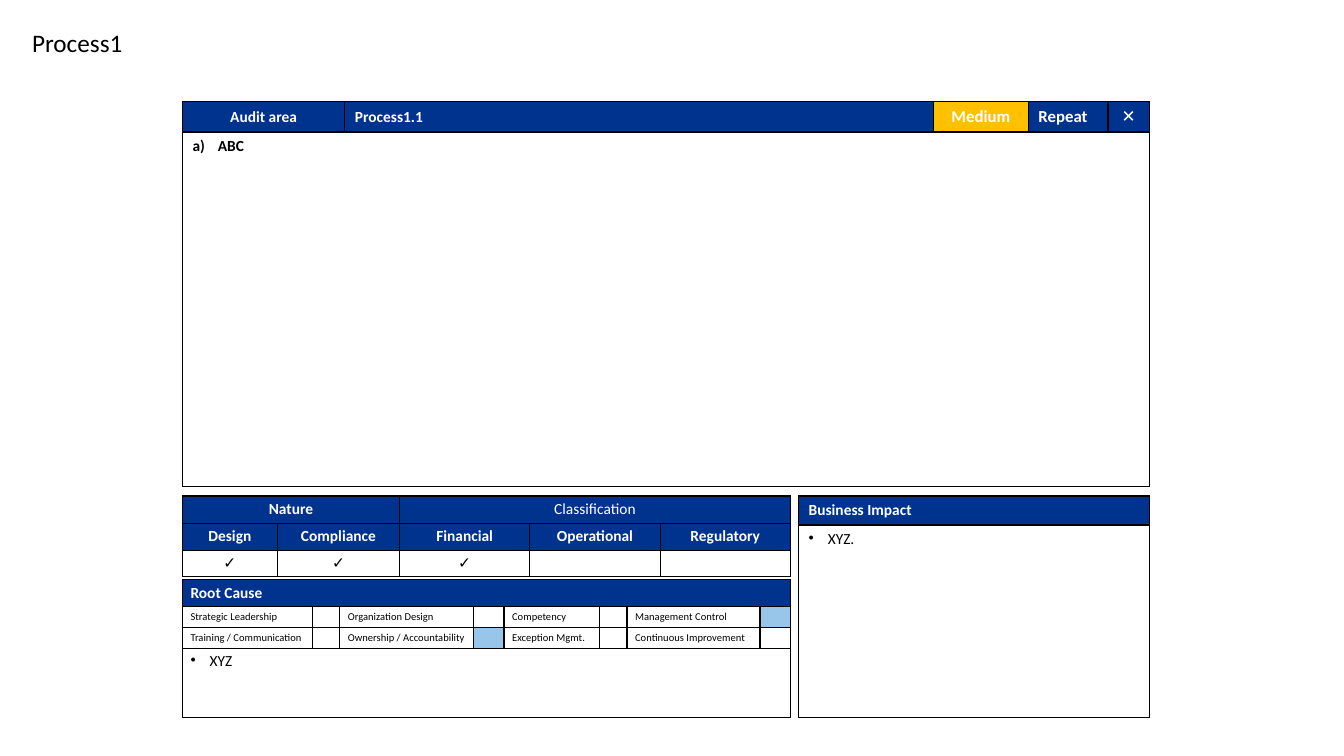
from lxml import etree
from pptx import Presentation
from pptx import util as u
from pptx.dml.color import RGBColor
from pptx.enum import text
from pptx.oxml.ns import qn

COLS, ROWS = 1333, 750
UNIT = u.Inches(0.01)
GAP = 8
NAVY, AMBER, SKY, WHITE, BLACK = "00338D", "FFC000", "98C6EA", "FFFFFF", "000000"
CENTER = text.PP_ALIGN.CENTER
MIDDLE = text.MSO_ANCHOR.MIDDLE


def rgb(value):
    """Turn a hex string into a colour."""
    return RGBColor.from_string(value)


def set_font(p, size, color, bold=False, name="Calibri"):
    """Set the font of a whole paragraph."""
    f = p.font
    f.size, f.bold, f.name = u.Pt(size), bold, name
    f.color.rgb = rgb(color)


def add_border(cell):
    """Draw a thin black line on all sides of a cell."""
    tc_pr = cell._tc.get_or_add_tcPr()
    for side in ("a:lnL", "a:lnR", "a:lnT", "a:lnB"):
        ln = etree.SubElement(tc_pr, qn(side), w=str(u.Pt(1)))
        fill = etree.SubElement(ln, qn("a:solidFill"))
        etree.SubElement(fill, qn("a:srgbClr"), val=BLACK)


def add_bullet(p, indent, tag, **mark):
    """Give a paragraph a hanging bullet or number."""
    p_pr = p._p.get_or_add_pPr()
    p_pr.set("marL", str(u.Inches(indent)))
    p_pr.set("indent", str(-u.Inches(indent)))
    p_pr.insert(0, p_pr.makeelement(qn(tag), mark))


def put(cell, words="", fill=None, size=11, color=BLACK, bold=False, align=None, name="Calibri"):
    """Write and colour one cell and return its paragraph."""
    if fill:
        cell.fill.solid()
        cell.fill.fore_color.rgb = rgb(fill)
    p = cell.text_frame.paragraphs[0]
    p.text, p.alignment = words, align
    set_font(p, size, color, bold, name)
    return p


def header(cell, words, fill=NAVY, **look):
    """Write a white heading on a coloured cell."""
    return put(cell, words, fill, **{"color": WHITE, "bold": True, **look})


def add_grid(s, box, cols, rows, pad=(10, 5)):
    """Add a bordered table whose columns and rows share out the box."""
    x, y, w, h = box
    tbl = s.shapes.add_table(len(rows), len(cols), *(v * UNIT for v in box)).table
    tbl.first_row = tbl.horz_banding = False
    for col, share in zip(tbl.columns, cols):
        col.width = int(w * UNIT * share / sum(cols))
    for row, share in zip(tbl.rows, rows):
        row.height = int(h * UNIT * share / sum(rows))
    for cell in tbl.iter_cells():
        cell.margin_left = cell.margin_right = pad[0] * UNIT
        cell.margin_top = cell.margin_bottom = pad[1] * UNIT
        add_border(cell)
        cell.fill.background()
    return tbl


def merge_row(tbl, row, first, last):
    """Merge a run of cells in one row and return the merged cell."""
    cell = tbl.cell(row, first)
    cell.merge(tbl.cell(row, last))
    return cell


def title(s, box):
    """Add the slide title."""
    tf = s.shapes.add_textbox(*(v * UNIT for v in box)).text_frame
    tf.word_wrap, tf.vertical_anchor = True, MIDDLE
    p = tf.paragraphs[0]
    p.text, p.line_spacing = "Process1", 0.9
    set_font(p, 18, BLACK)


def finding(s, box):
    """Add the audit area bar and the finding below it."""
    tbl = add_grid(s, box, (161, 584, 94, 79, 41), (30, 352))
    header(tbl.cell(0, 0), "Audit area", align=CENTER)
    header(tbl.cell(0, 1), "Process1.1")
    header(tbl.cell(0, 2), "Medium", AMBER, size=12, align=CENTER)
    header(tbl.cell(0, 3), "Repeat", size=12)
    header(tbl.cell(0, 4), "✕", size=12, bold=False, align=CENTER, name="Arial")
    for col in range(5):
        tbl.cell(0, col).vertical_anchor = MIDDLE
    p = put(merge_row(tbl, 1, 0, 4), "ABC", bold=True, align=text.PP_ALIGN.JUSTIFY)
    add_bullet(p, 0.25, "a:buAutoNum", type="alphaLcParenR")


def impact(s, box):
    """Add the business impact panel."""
    tbl = add_grid(s, box, (1,), (29, 192))
    header(tbl.cell(0, 0), "Business Impact")
    add_bullet(put(tbl.cell(1, 0), "XYZ."), 0.19, "a:buChar", char="•")


def nature(s, box):
    """Add the nature and classification ticks."""
    tbl = add_grid(s, box, (94, 121, 129, 129, 129), (27, 27, 25), pad=(8, 4))
    header(merge_row(tbl, 0, 0, 1), "Nature", align=CENTER)
    header(merge_row(tbl, 0, 2, 4), "Classification", bold=False, align=CENTER)
    kinds = ("Design", "Compliance", "Financial", "Operational", "Regulatory")
    for col, kind in enumerate(kinds):
        header(tbl.cell(1, col), kind, align=CENTER)
        put(tbl.cell(2, col), "✓" if col < 3 else "", align=CENTER, name="Arial")


def root_cause(s, box):
    """Add the root cause checklist and its note."""
    causes = (("Strategic Leadership", "Organization Design", "Competency", "Management Control"),
              ("Training / Communication", "Ownership / Accountability", "Exception Mgmt.",
               "Continuous Improvement"))
    chosen = ("Management Control", "Ownership / Accountability")
    tbl = add_grid(s, box, (129, 27, 133, 30, 95, 27, 132, 30), (27, 20, 20, 69), pad=(8, 4))
    header(merge_row(tbl, 0, 0, 7), "Root Cause")
    for row, names in enumerate(causes, 1):
        for col, cause in enumerate(names):
            put(tbl.cell(row, 2 * col), cause, size=7.5)
            put(tbl.cell(row, 2 * col + 1), fill=SKY if cause in chosen else None, size=7.5)
    add_bullet(put(merge_row(tbl, 3, 0, 7), "XYZ"), 0.19, "a:buChar", char="•")


def audit_slide(prs):
    """Build the audit finding slide."""
    s = prs.slides.add_slide(prs.slide_layouts[6])
    left, top, width, height = 181, 101, 959, 382
    lower, left_w = top + height + GAP + 1, 603
    right = left + left_w + GAP
    title(s, (22, 8, 1246, 71))
    finding(s, (left, top, width, height))
    impact(s, (right, lower, left + width - right, 220))
    nature(s, (left, lower, left_w, 79))
    root_cause(s, (left, lower + 83, left_w, 136))


prs = Presentation()
prs.slide_width, prs.slide_height = COLS * UNIT, ROWS * UNIT
audit_slide(prs)
prs.save("out.pptx")
